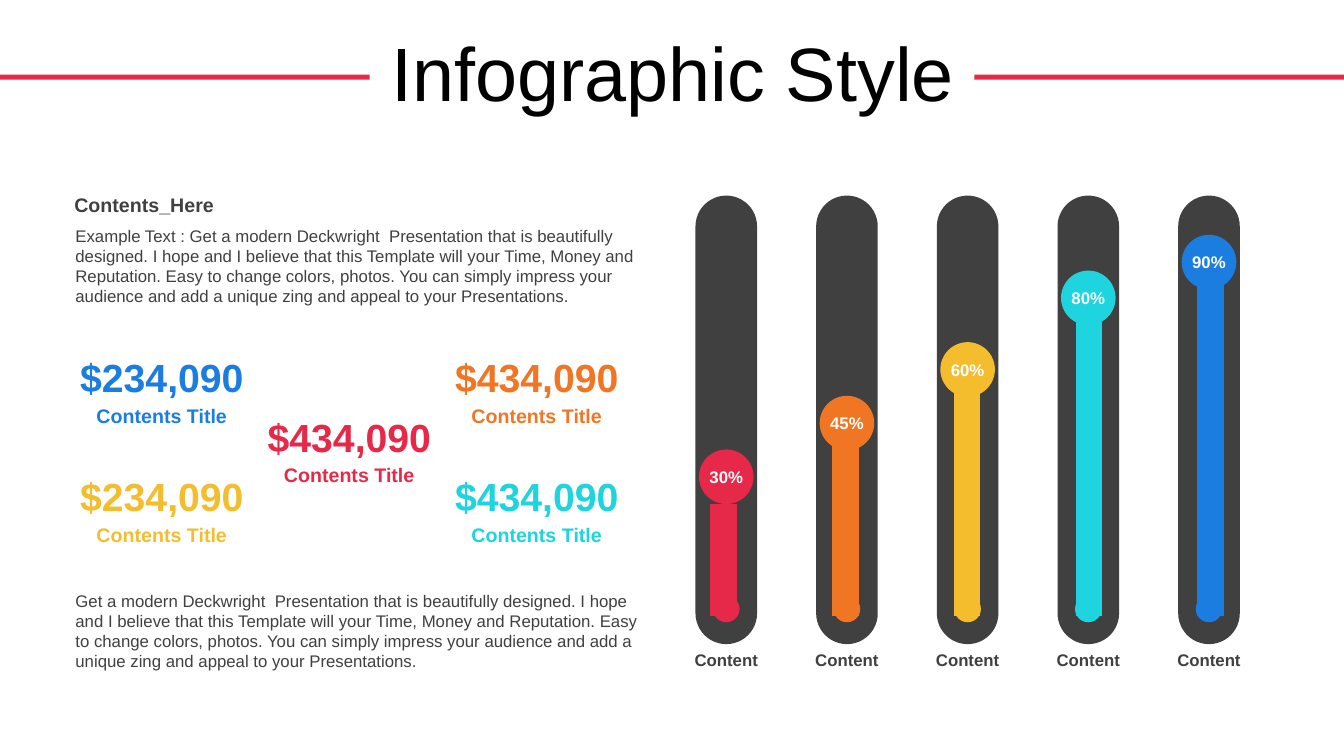
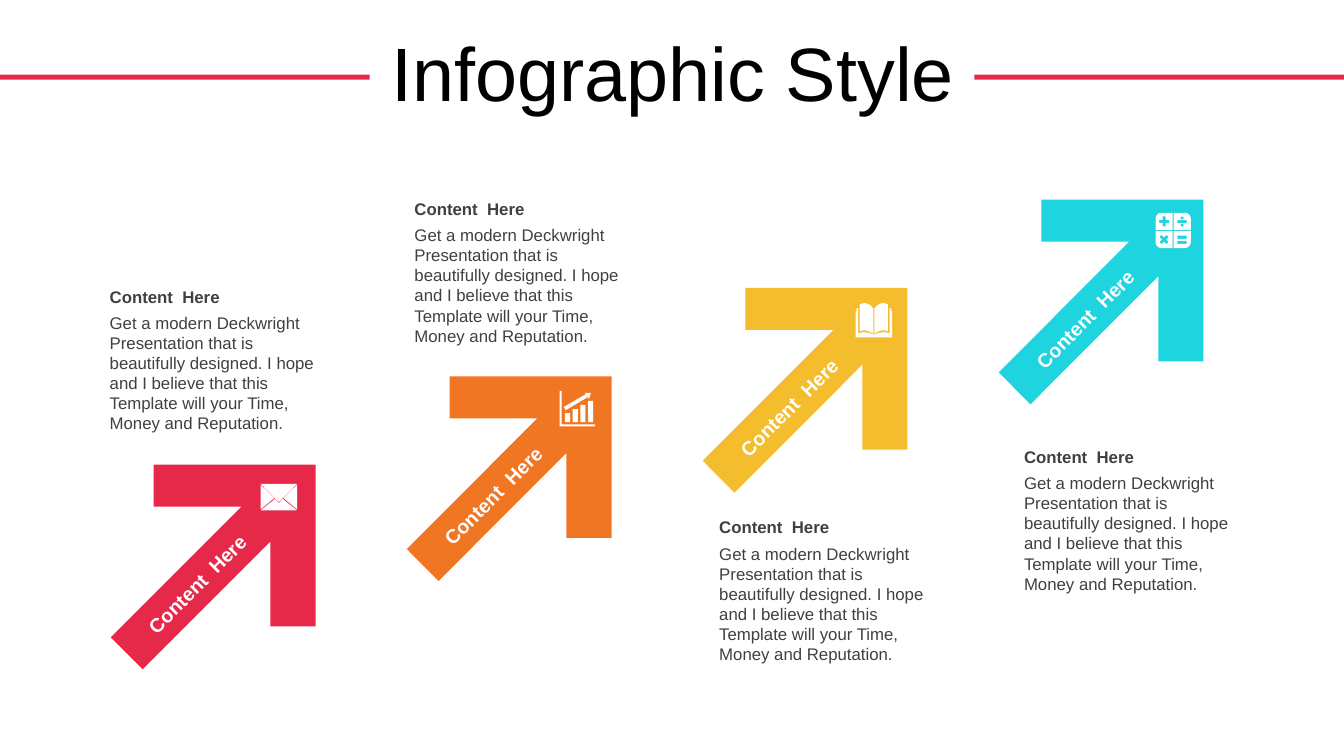
from math import cos, pi, sin

from lxml import etree
from pptx import Presentation
from pptx.chart import data
from pptx.dml import color
from pptx.enum import shapes, text
from pptx.oxml import ns
from pptx.util import Pt

# Shared look
RED, ORANGE, GOLD = "E62949", "F07624", "F4BD2D"
CYAN, BLUE, DARK = "1ED4DE", "1C7DE1", "404040"
WHITE, BLACK = "FFFFFF", "000000"
LEFT, MID = text.PP_ALIGN.LEFT, text.PP_ALIGN.CENTER
TOP, CENTRE = text.MSO_ANCHOR.TOP, text.MSO_ANCHOR.MIDDLE
KIND = shapes.MSO_SHAPE

PITCH = ("Get a modern Deckwright  Presentation that is beautifully designed. "
         "I hope and I believe that this Template will your Time, "
         "Money and Reputation.")
MORE = (" Easy to change colors, photos. You can simply impress your audience "
        "and add a unique zing and appeal to your Presentations.")


def hue(code):
    return color.RGBColor.from_string(code)


def style(font, size, code, bold=False):
    form = {"name": "Arial", "size": Pt(size), "bold": bold}
    for key, value in form.items():
        setattr(font, key, value)
    font.color.rgb = hue(code)


def write(frame, words, size, code, bold=False, align=MID, anchor=CENTRE):
    form = {"word_wrap": True, "vertical_anchor": anchor}
    for key, value in form.items():
        setattr(frame, key, value)
    para = frame.paragraphs[0]
    para.alignment = align
    run = para.add_run()
    run.text = words
    style(run.font, size, code, bold)


def label(slide, words, box, size, code=DARK, bold=False, align=LEFT,
          anchor=TOP, turn=0):
    item = slide.shapes.add_textbox(*map(Pt, box))
    item.rotation = turn
    write(item.text_frame, words, size, code, bold, align, anchor)


def paint(item, code):
    item.shadow.inherit = False
    item.fill.solid()
    item.fill.fore_color.rgb = hue(code)
    item.line.fill.background()
    return item


def block(slide, kind, box, code):
    return paint(slide.shapes.add_shape(kind, *map(Pt, box)), code)


def disc(slide, mid, top, size, code):
    return block(slide, KIND.OVAL, (mid - size / 2, top, size, size), code)


def outline(slide, left, top, parts, code):
    """Draw closed contours, given in points from left and top."""
    pen = None
    for part in parts:
        first, *rest = [(Pt(x), Pt(y)) for x, y in part]
        if pen is None:
            pen = slide.shapes.build_freeform(*first, scale=1.0)
        else:
            pen.move_to(*first)
        pen.add_line_segments(rest, close=True)
    paint(pen.convert_to_shape(Pt(left), Pt(top)), code)


# Contours for the icons
def rect(x, y, wide, high):
    return [(x, y), (x + wide, y), (x + wide, y + high), (x, y + high)]


def flip(part, size, axis=0):
    return [(size - x, y) if axis == 0 else (x, size - y) for x, y in part]


def ring(x, y, size):
    return [(x + size * cos(k * pi / 6), y + size * sin(k * pi / 6))
            for k in range(12)]


def cross(x, y, turn=0):
    arm, half = 3.6, 1.1
    part = []
    for k in range(4):
        a = turn + k * pi / 2
        for u, v in ((half, half), (arm, half), (arm, -half)):
            part.append((x + u * cos(a) + v * sin(a),
                         y + u * sin(a) - v * cos(a)))
    return part


def letter():
    side = [(0, 0.7), (9.7, 10.2), (0, 18.2)]
    return [[(0, 0), (26, 0), (13, 13)], side, flip(side, 26),
            [(10.2, 10.8), (13, 13.7), (15.8, 10.8), (26, 19), (0, 19)]]


def growth():
    bars = [rect(3.8 + 5.5 * i, 15.8 - 2.9 * i, 3.6, 6.5 + 2.9 * i)
            for i in range(4)]
    trend = [(18, 1.4), (22.3, 1.4), (20.9, 5.8), (20.2, 4.3),
             (4.3, 13.7), (2.9, 11.5), (18.7, 2.2)]
    axes = [(0, 0), (1.4, 0), (1.4, 23.8), (25.2, 23.8), (25.2, 25.2),
            (0, 25.2)]
    return bars + [trend, axes]


def book():
    page = [(2.9, 0.9), (4.7, 0.3), (6.5, 0), (8.5, 0.4), (10.5, 1.6),
            (12.6, 3.8), (12.6, 22), (10.2, 20.4), (7.5, 19.6), (5, 19.6),
            (2.9, 20.2)]
    cover = [(0, 5.8), (0.7, 5.8), (0.7, 3.6), (1.8, 3.6), (1.8, 21.6),
             (5.5, 20.8), (9, 21.2), (13, 22.6), (13, 24.5), (0, 24.5)]
    return [part for half in (page, cover) for part in (half, flip(half, 26))]


def keypad():
    size = 25.2
    tile = [(12.3, 12.3), (0, 12.3), (0, 4.3), (0.3, 2.6), (1.3, 1.3),
            (2.6, 0.3), (4.3, 0), (12.3, 0)]
    left = [tile, flip(tile, size, 1)]
    signs = [cross(6.1, 6.1), cross(6.1, 19.1, pi / 4),
             ring(19, 3.8, 1.1), ring(19, 8.8, 1.1)]
    bars = [rect(15.7, y, 6.6, 2.2) for y in (5.2, 16.4, 20)]
    return left + [flip(part, size) for part in left] + signs + bars


# Title and side bands
def setup(deck):
    deck.slide_width, deck.slide_height = Pt(960), Pt(540)
    layout = deck.slide_layouts[5]
    for spot in list(layout.placeholders):
        if spot.placeholder_format.idx:
            spot.element.getparent().remove(spot.element)
    title = layout.placeholders[0]
    box = {"left": 25, "top": 22, "width": 911, "height": 66}
    for key, value in box.items():
        setattr(title, key, Pt(value))
    return layout


def bands(slide, layout):
    for left in (0, 696):
        band = block(slide, KIND.RECTANGLE, (left, 53.3, 264, 3.6), RED)
        layout.shapes.element.append(band.element)


def page(deck, layout):
    slide = deck.slides.add_slide(layout)
    frame = slide.shapes.title.text_frame
    write(frame, "Infographic Style", 54, BLACK)
    frame.paragraphs[0].line_spacing = 0.9
    return slide


# Slide 1: gauges and amounts
def columns(slide, values, codes):
    info = data.CategoryChartData()
    info.categories = [str(i + 1) for i in range(len(values))]
    info.add_series("Series 1", values)
    chart = slide.shapes.add_chart(
        51 + 1, *map(Pt, (464.4, 167.8, 452.9, 277.9)), info).chart
    style(chart.font, 18, BLACK)
    chart.has_legend = chart.has_title = False
    axis = chart.value_axis
    form = {"minimum_scale": 0, "maximum_scale": 110,
            "has_major_gridlines": False, "visible": False}
    for key, value in form.items():
        setattr(axis, key, value)
    chart.category_axis.visible = False
    plot = chart.plots[0]
    plot.gap_width, plot.overlap, plot.vary_by_categories = 360, 100, False
    for i, code in enumerate(codes):
        fill = plot.series[0].points[i].format.fill
        fill.solid()
        fill.fore_color.rgb = hue(code)
    # Fix the plot area inside the frame
    area = chart.element.find(".//" + ns.qn("c:plotArea"))
    for old in area.findall(ns.qn("c:layout")):
        area.remove(old)
    outer = etree.Element(ns.qn("c:layout"))
    area.insert(0, outer)
    grid = etree.SubElement(outer, ns.qn("c:manualLayout"))
    rules = {"layoutTarget": "inner", "xMode": "edge", "yMode": "edge",
             "x": "0.02", "y": "0.02", "w": "0.96", "h": "0.96"}
    for key, value in rules.items():
        etree.SubElement(grid, ns.qn("c:" + key)).set("val", value)


def gauges(slide):
    codes = (RED, ORANGE, GOLD, CYAN, BLUE)
    mids = [518.8 + 86.2 * i for i in range(5)]
    for mid in mids:
        pill = block(slide, KIND.ROUNDED_RECTANGLE,
                     (mid - 22, 139.7, 44, 320.4), DARK)
        pill.adjustments[0] = 0.5
        label(slide, "Content", (mid - 31, 460, 62, 22), 12, DARK, True,
              MID, CENTRE)
    columns(slide, (33, 50, 67, 89, 100), codes)
    for mid, code, rate in zip(mids, codes, (30, 45, 60, 80, 90)):
        disc(slide, mid, 425.5, 19, code)
        ball = disc(slide, mid, 397.7 - 2.555 * rate, 39, code)
        frame = ball.text_frame
        for key in ("left", "right", "top", "bottom"):
            setattr(frame, "margin_" + key, 0)
        write(frame, f"{rate}%", 12, WHITE, True)


def amounts(slide):
    label(slide, "Contents_Here", (46, 134, 422.6, 24), 14, bold=True)
    label(slide, "Example Text : " + PITCH + MORE,
          (46.8, 157.5, 422.6, 65.5), 12)
    for col, row, sum_, code in (
            (0, 0, "$234,090", BLUE), (2, 0, "$434,090", ORANGE),
            (1, 1, "$434,090", RED), (0, 2, "$234,090", GOLD),
            (2, 2, "$434,090", CYAN)):
        left, top = 46.1 + 133.9 * col, 249.1 + 42.4 * row
        label(slide, sum_, (left, top, 139, 41), 28, code, True, MID)
        label(slide, "Contents Title", (left, top + 35.8, 139, 24), 14,
              code, True, MID)
    label(slide, PITCH + MORE, (46.8, 418.3, 422.6, 65.5), 12)


# Slide 2: rising arrows
def arrows(slide):
    arrow = [(30.5, 0), (146.2, 0), (146.2, 115.5), (114, 115.5),
             (114, 54.8), (22.7, 146.2), (0, 123.4), (93.3, 30),
             (30.5, 30)]
    steps = ((RED, 200.9, letter(), 107, 13.7),
             (ORANGE, 138.2, growth(), 109.2, 10.5),
             (GOLD, 365.8, book(), 109.2, 10.8),
             (CYAN, 315.4, keypad(), 112, 9.4))
    for i, (code, top, icon, dx, dy) in enumerate(steps):
        x, y = 79.2 + 211.4 * i, 331.9 - 63.1 * i
        outline(slide, x, y, [arrow], code)
        outline(slide, x + dx, y + dy, icon, WHITE)
        label(slide, "Content  Here", (x - 2.2, y + 73, 127.4, 24.5), 14,
              WHITE, True, MID, CENTRE, 315)
        left = 71.3 + 217.7 * i
        label(slide, "Content  Here", (left, top, 163.4, 21.6), 12,
              bold=True, anchor=CENTRE)
        label(slide, PITCH, (left, top + 18.7, 163.4, 94.3), 12)


def main():
    deck = Presentation()
    layout = setup(deck)
    first = page(deck, layout)
    bands(first, layout)
    gauges(first)
    amounts(first)
    arrows(page(deck, layout))
    deck.save("out.pptx")


if __name__ == "__main__":
    main()
